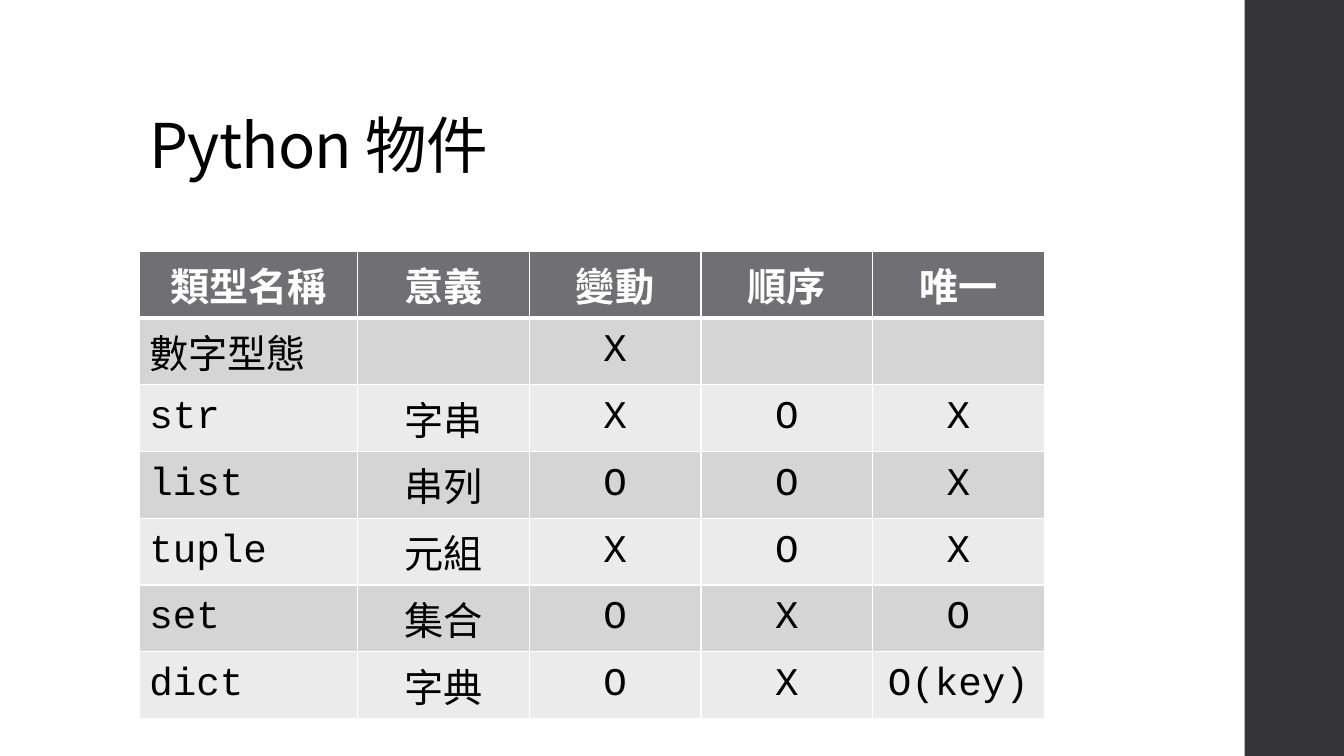
from dataclasses import dataclass

from lxml import etree
from pptx import Presentation
from pptx.dml.color import RGBColor
from pptx.enum.shapes import MSO_SHAPE
from pptx.enum.text import MSO_ANCHOR, MSO_AUTO_SIZE, PP_ALIGN
from pptx.oxml.ns import qn
from pptx.util import Pt

RECTANGLE = MSO_SHAPE.RECTANGLE
LEFT, CENTER = PP_ALIGN.LEFT, PP_ALIGN.CENTER
MIDDLE, BOTTOM = MSO_ANCHOR.MIDDLE, MSO_ANCHOR.BOTTOM
NO_AUTOFIT = MSO_AUTO_SIZE.NONE
TITLE_ONLY = 5


@dataclass(frozen=True)
class Theme:
    text: str = "000000"
    light: str = "FFFFFF"
    sidebar: str = "353537"
    header: str = "6F6F74"
    bands: tuple = ("D5D5D6", "EBEBEB")
    sans: str = "Noto Sans CJK JP"
    mono: str = "Courier New"
    title_size: int = 44
    table_size: int = 28
    border: int = 1
    header_border: int = 3


class SlideBuilder:
    def __init__(self, slide, theme):
        self.slide = slide
        self.theme = theme

    def format_paragraph(self, paragraph, size, name, color, alignment, bold=False):
        paragraph.alignment = alignment
        font = paragraph.font
        font.size, font.name, font.bold = Pt(size), name, bold
        font.color.rgb = RGBColor.from_string(color)
        properties = paragraph._p.get_or_add_pPr().get_or_add_defRPr()
        etree.SubElement(properties, qn("a:ea"), typeface=self.theme.sans)
        return properties

    def title(self, text, left, top, width, height):
        shape = self.slide.shapes.title
        shape.left, shape.top = Pt(left), Pt(top)
        shape.width, shape.height = Pt(width), Pt(height)
        frame = shape.text_frame
        frame.text = text
        frame.word_wrap = True
        frame.auto_size = NO_AUTOFIT
        frame.vertical_anchor = BOTTOM
        paragraph = frame.paragraphs[0]
        paragraph.line_spacing = 0.9
        properties = self.format_paragraph(
            paragraph, self.theme.title_size, self.theme.sans, self.theme.text, LEFT
        )
        properties.set("spc", "-50")

    def rectangle(self, color, left, top, width, height):
        shape = self.slide.shapes.add_shape(
            RECTANGLE, Pt(left), Pt(top), Pt(width), Pt(height)
        )
        shape.shadow.inherit = False
        shape.fill.solid()
        shape.fill.fore_color.rgb = RGBColor.from_string(color)
        shape.line.fill.background()

    def borders(self, cell, top, bottom):
        properties = cell._tc.get_or_add_tcPr()
        side = self.theme.border
        widths = {"lnL": side, "lnR": side, "lnT": top, "lnB": bottom}
        for position, (tag, width) in enumerate(widths.items()):
            line = etree.Element(qn(f"a:{tag}"), w=str(Pt(width)))
            fill = etree.SubElement(line, qn("a:solidFill"))
            etree.SubElement(fill, qn("a:srgbClr"), val=self.theme.light)
            properties.insert(position, line)

    def cell(self, cell, text, row, column):
        theme = self.theme
        is_header = row == 0
        background = theme.header if is_header else theme.bands[(row - 1) % 2]
        cell.fill.solid()
        cell.fill.fore_color.rgb = RGBColor.from_string(background)
        cell.vertical_anchor = MIDDLE
        cell.text = text
        self.format_paragraph(
            cell.text_frame.paragraphs[0],
            theme.table_size,
            theme.mono,
            theme.light if is_header else theme.text,
            CENTER if is_header or column else LEFT,
            is_header,
        )
        self.borders(
            cell,
            theme.header_border if row == 1 else theme.border,
            theme.header_border if is_header else theme.border,
        )

    def table(self, rows, left, top, column_widths, row_height):
        table = self.slide.shapes.add_table(
            len(rows), len(column_widths), Pt(left), Pt(top),
            Pt(sum(column_widths)), Pt(row_height * len(rows)),
        ).table
        for column, width in zip(table.columns, column_widths):
            column.width = Pt(width)
        for row_index, values in enumerate(rows):
            table.rows[row_index].height = Pt(row_height)
            for column_index, text in enumerate(values):
                self.cell(
                    table.cell(row_index, column_index), text, row_index, column_index
                )


OBJECT_TYPES = [
    ("類型名稱", "意義", "變動", "順序", "唯一"),
    ("數字型態", "", "X", "", ""),
    ("str", "字串", "X", "O", "X"),
    ("list", "串列", "O", "O", "X"),
    ("tuple", "元組", "X", "O", "X"),
    ("set", "集合", "O", "X", "O"),
    ("dict", "字典", "O", "X", "O(key)"),
]


def main():
    presentation = Presentation()
    presentation.slide_width, presentation.slide_height = Pt(960), Pt(540)
    slide = presentation.slides.add_slide(presentation.slide_layouts[TITLE_ONLY])
    theme = Theme()
    builder = SlideBuilder(slide, theme)
    builder.rectangle(theme.sidebar, 889, 0, 72, 540)
    builder.title("Python 物件", 99.5, 29, 763, 104.5)
    builder.table(OBJECT_TYPES, 99.5, 179.5, [156] + [122.6] * 4, 47.6)
    presentation.save("out.pptx")


if __name__ == "__main__":
    main()
